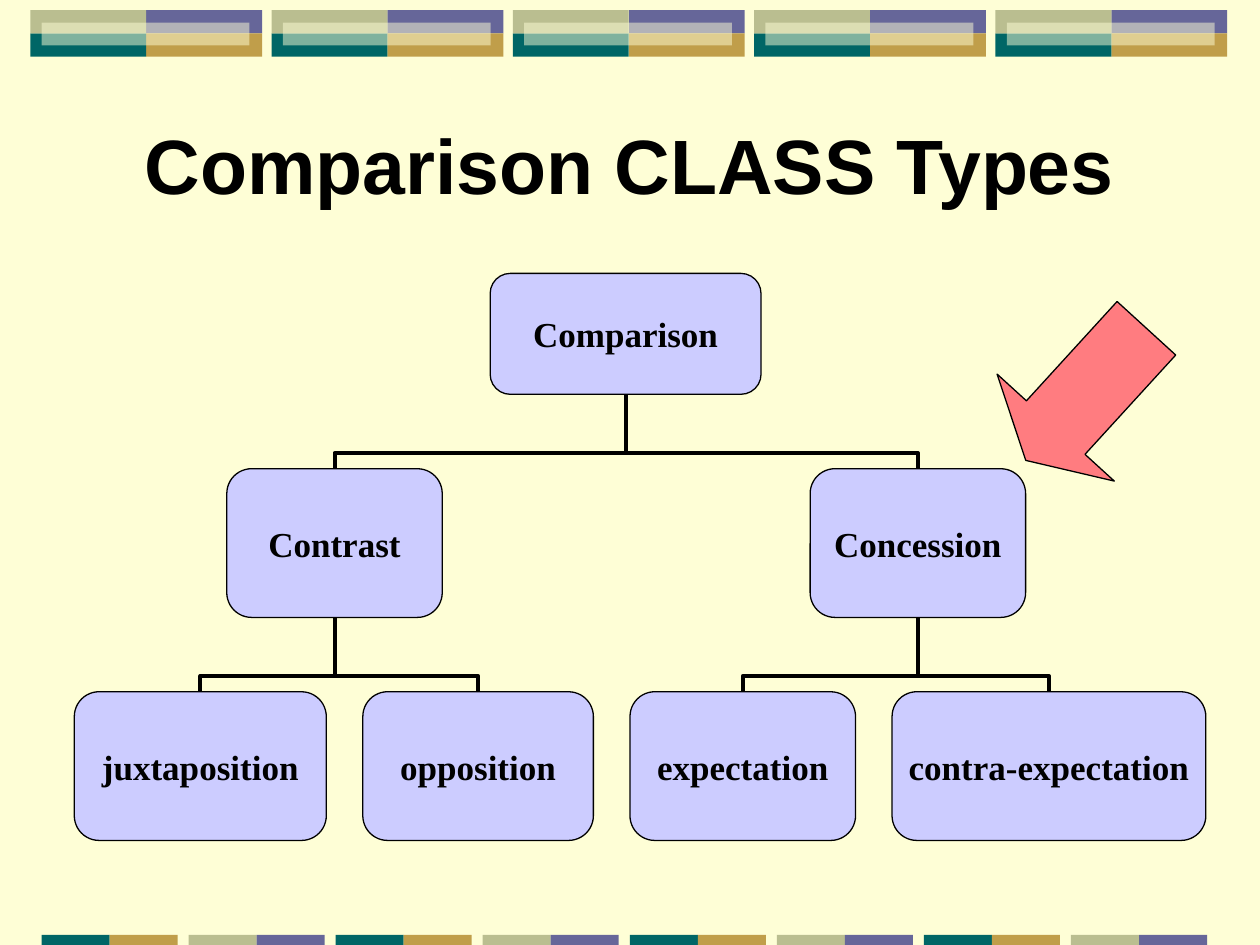
from lxml import etree
from pptx import Presentation
from pptx.dml.color import RGBColor
from pptx.enum import shapes, text
from pptx.oxml.ns import qn
from pptx.util import Inches, Pt

CREAM = RGBColor(0xFE, 0xFE, 0xD6)
PURPLE = RGBColor(0x66, 0x66, 0x99)
GOLD = RGBColor(0xC0, 0x9E, 0x4A)
TEAL = RGBColor(0x00, 0x66, 0x66)
OLIVE = RGBColor(0xBA, 0xBE, 0x90)
LILAC = RGBColor(0xCC, 0xCC, 0xFF)
PINK = RGBColor(0xFF, 0x7C, 0x80)
BLACK = RGBColor(0, 0, 0)

prs = Presentation()
prs.slide_width, prs.slide_height = Inches(10), Inches(7.5)
s = prs.slides.add_slide(prs.slide_layouts[6])
s.background.fill.solid()
s.background.fill.fore_color.rgb = CREAM


def add_shape(kind, x, y, w, h, fill, outlined=False):
    sp = s.shapes.add_shape(kind, Inches(x), Inches(y), Inches(w), Inches(h))
    sp.shadow.inherit = False
    sp.fill.solid()
    sp.fill.fore_color.rgb = fill
    if outlined:
        sp.line.color.rgb = BLACK
        sp.line.width = Pt(0.75)
    else:
        sp.line.fill.background()
    return sp


def write(sp, words, font, size, margins, wrap):
    tf = sp.text_frame
    tf.word_wrap = wrap
    tf.vertical_anchor = text.MSO_ANCHOR.MIDDLE
    tf.margin_left = tf.margin_right = Inches(margins[0])
    tf.margin_top = tf.margin_bottom = Inches(margins[1])
    p = tf.paragraphs[0]
    p.alignment = text.PP_ALIGN.CENTER
    r = p.add_run()
    r.text = words
    for name, value in {"name": font, "size": Pt(size), "bold": True}.items():
        setattr(r.font, name, value)
    r.font.color.rgb = BLACK


RECT = shapes.MSO_SHAPE.RECTANGLE

# Top band: five four-coloured tiles, each with a translucent bar
TILE_W, TILE_H = 0.92, 0.18
for i in range(5):
    x = 0.24 + i * 1.915
    for col, row, color in ((1, 0, PURPLE), (1, 1, GOLD), (0, 1, TEAL), (0, 0, OLIVE)):
        add_shape(RECT, x + col * TILE_W, 0.08 + row * 0.185, TILE_W, 0.185, color)
    bar = add_shape(RECT, x + 0.09, 0.18, 1.65, TILE_H, CREAM)
    color = bar._element.spPr.find(qn("a:solidFill"))[0]
    etree.SubElement(color, qn("a:alpha")).set("val", "50000")

# Bottom band: eight two-coloured strips
for i in range(8):
    x = 0.33 + i * 8.17 / 7
    for col, color in enumerate((OLIVE, PURPLE) if i % 2 else (TEAL, GOLD)):
        add_shape(RECT, x + col * 0.54, 7.42, 0.54, 0.08, color)

title = s.shapes.add_textbox(Inches(0.75), Inches(0.67), Inches(8.5), Inches(1.25))
write(title, "Comparison CLASS Types", "Arial", 44, (0.1, 0.05), True)

# Tree: name, parent, left, top, width, height
NODES = [
    ("Comparison", None, 3.89, 2.17, 2.15, 0.96),
    ("Contrast", "Comparison", 1.8, 3.72, 1.71, 1.18),
    ("Concession", "Comparison", 6.43, 3.72, 1.71, 1.18),
    ("juxtaposition", "Contrast", 0.59, 5.49, 2, 1.18),
    ("opposition", "Contrast", 2.88, 5.49, 1.83, 1.18),
    ("expectation", "Concession", 5, 5.49, 1.79, 1.18),
    ("contra-expectation", "Concession", 7.08, 5.49, 2.49, 1.18),
]
boxes = {name: box for name, _, *box in NODES}

for name, parent, x, y, w, h in NODES:
    if parent is None:
        continue
    px, py, pw, ph = boxes[parent]
    child_x, parent_x = x + w / 2, px + pw / 2
    rise, run = y - (py + ph), abs(child_x - parent_x)
    mid_x, mid_y = (child_x + parent_x) / 2, y - rise / 2
    # An upright elbow is a sideways one turned a quarter about its centre
    left, right = mid_x - rise / 2, mid_x + rise / 2
    child_on_left = child_x < parent_x
    if child_on_left:
        left, right = right, left
    line = s.shapes.add_connector(
        shapes.MSO_CONNECTOR.ELBOW,
        Inches(left), Inches(mid_y + run / 2), Inches(right), Inches(mid_y - run / 2))
    line.line.color.rgb = BLACK
    line.line.width = Pt(2.25)
    spPr = line._element.spPr
    spPr.find(qn("a:xfrm")).set("rot", str((90 if child_on_left else 270) * 60000))
    bend = etree.SubElement(spPr.find(qn("a:prstGeom")).find(qn("a:avLst")), qn("a:gd"))
    bend.set("name", "adj1")
    bend.set("fmla", "val 21200")
    etree.SubElement(spPr, qn("a:effectLst"))

for name, box in boxes.items():
    sp = add_shape(shapes.MSO_SHAPE.ROUNDED_RECTANGLE, *box, LILAC, outlined=True)
    write(sp, name, "Times New Roman", 20, (0.07, 0.04), False)

arrow = add_shape(shapes.MSO_SHAPE.DOWN_ARROW, 7.99, 2.42, 1.26, 1.42, PINK, outlined=True)
arrow.adjustments[1] = 0.28
arrow.rotation = 42.4

prs.save("out.pptx")
